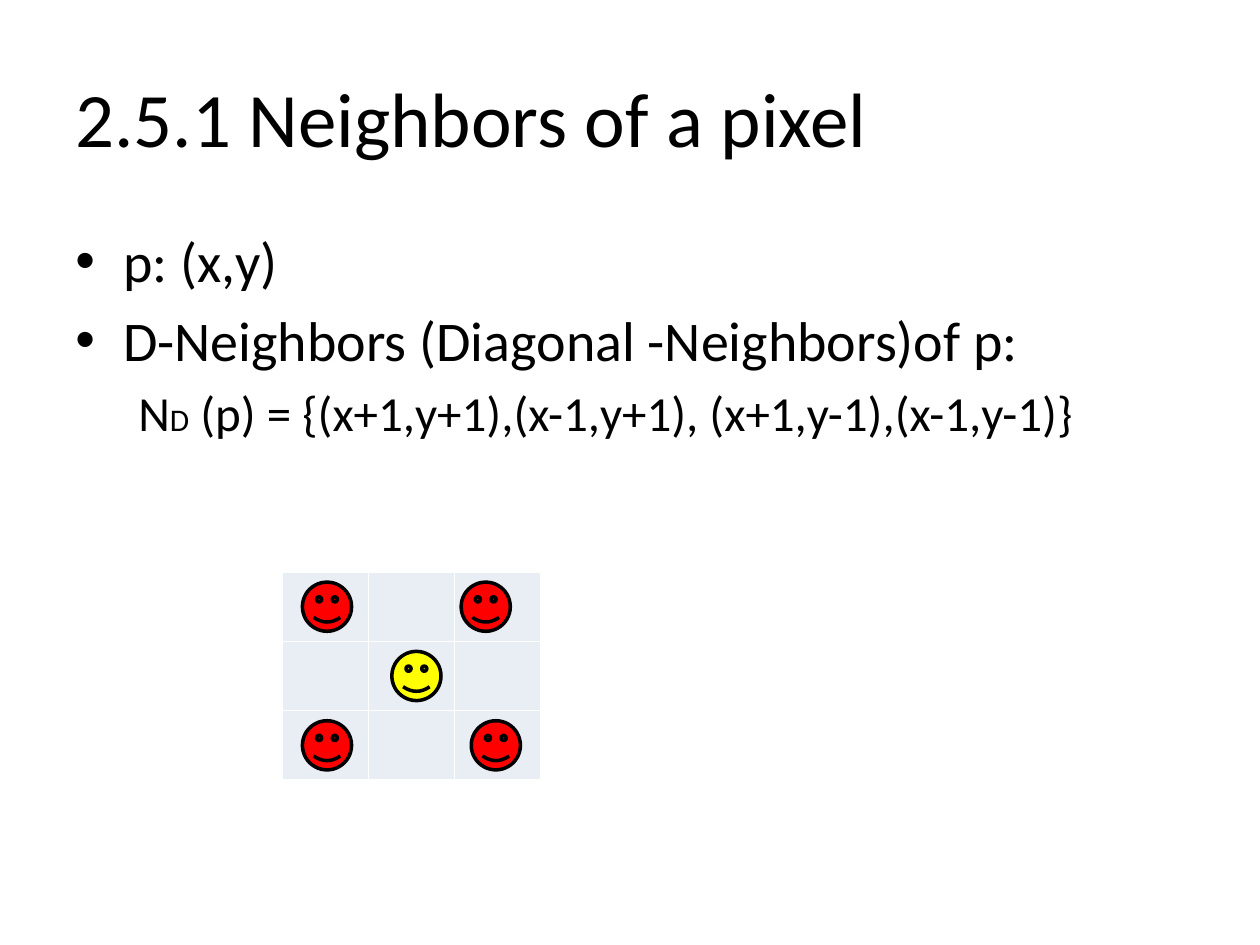
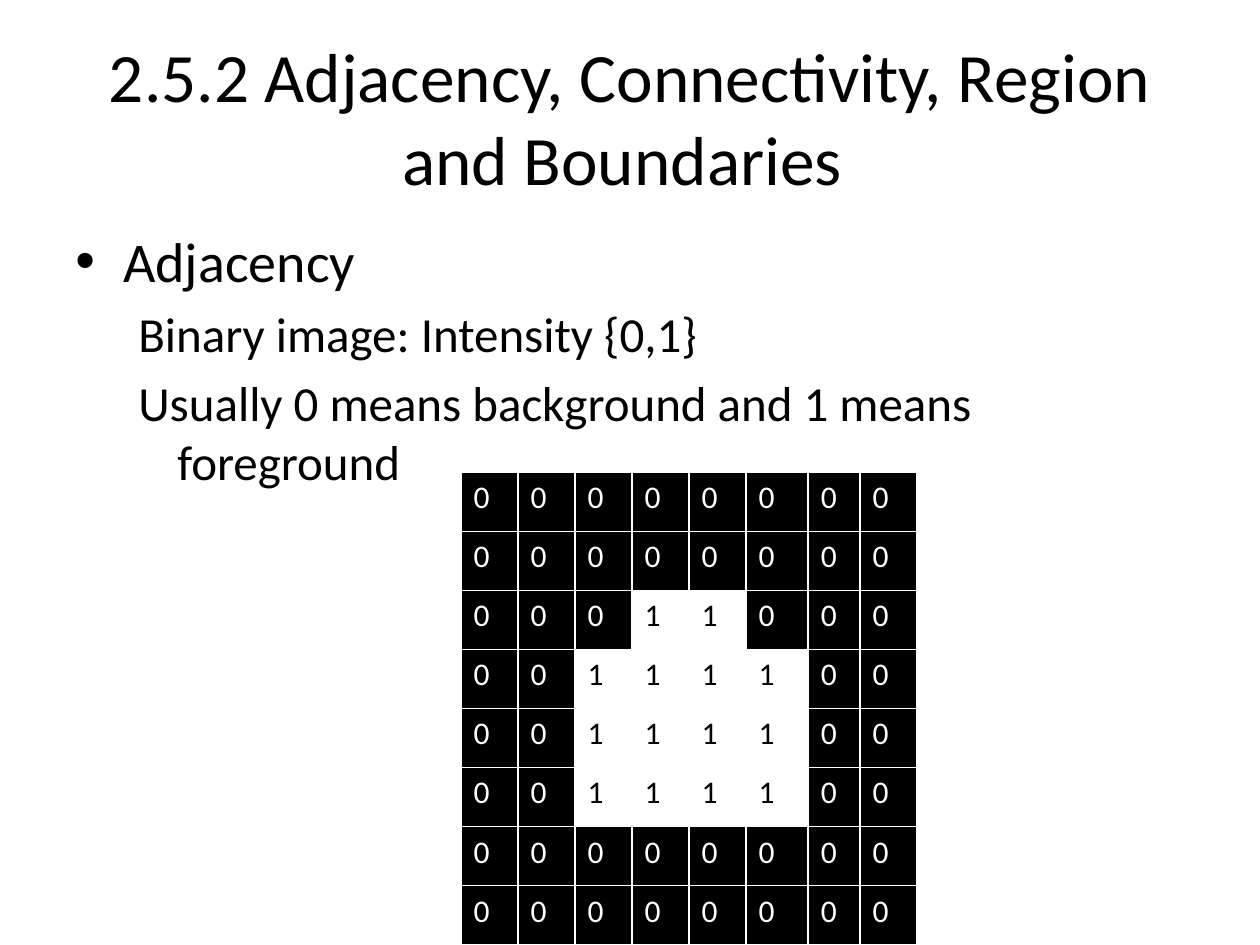
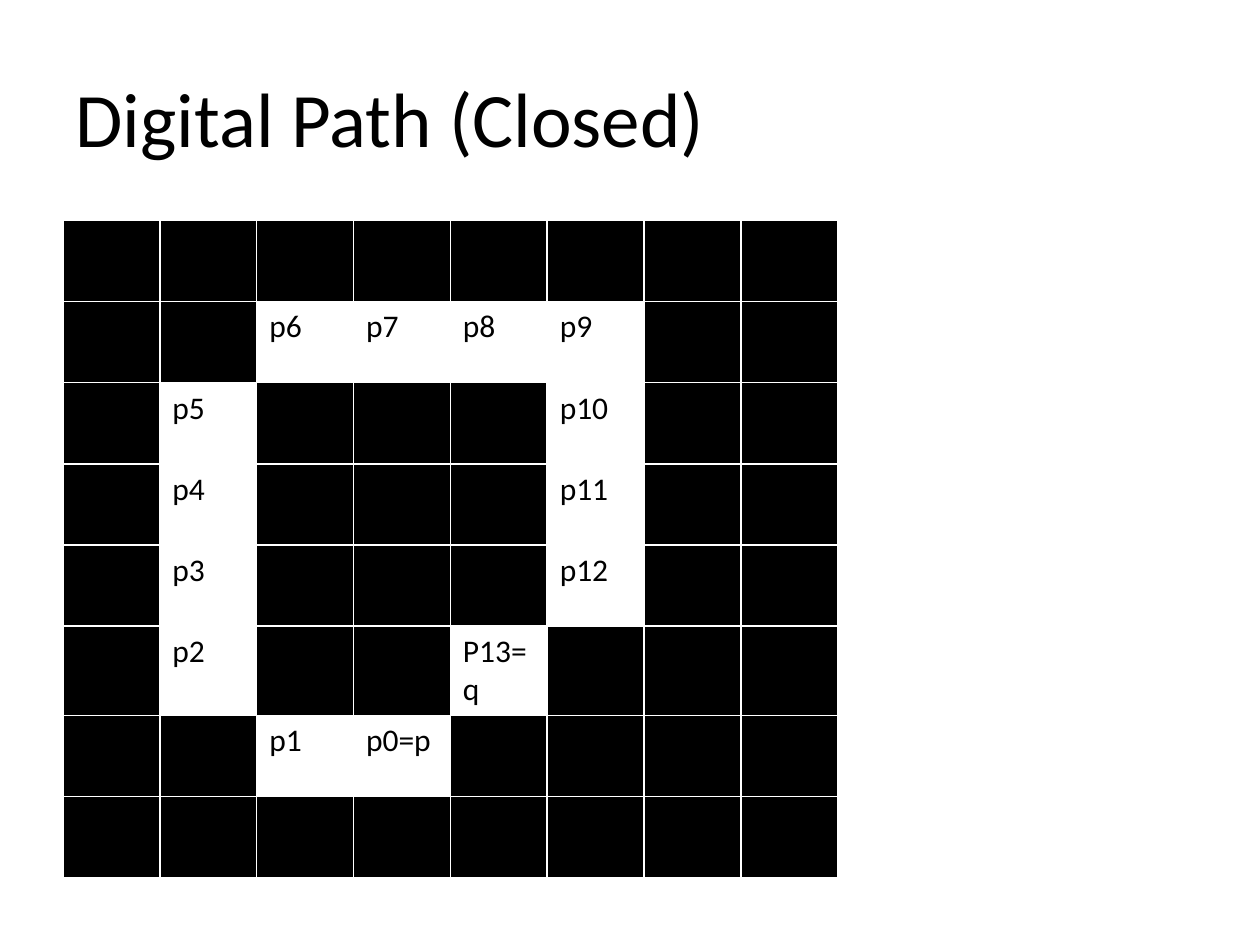
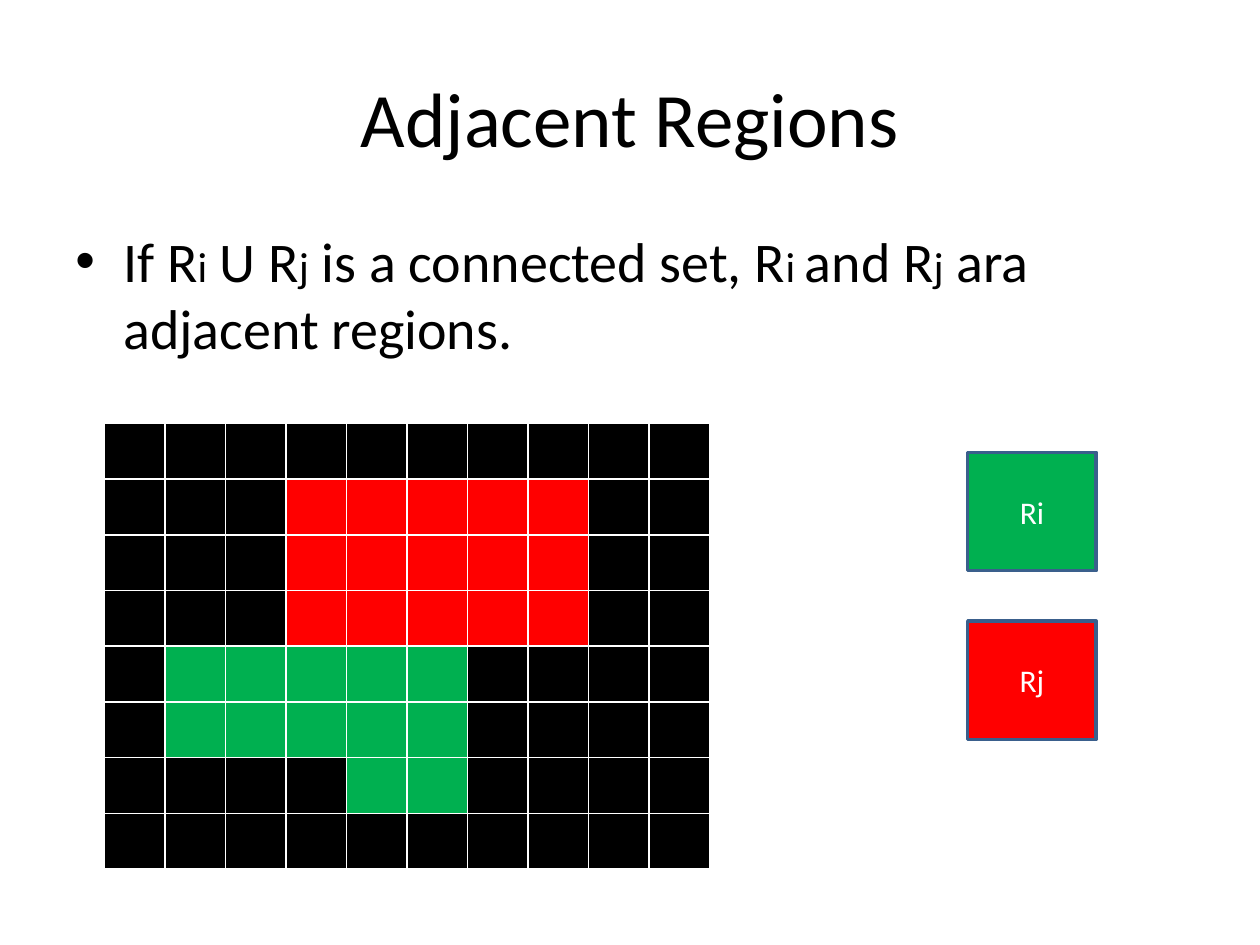
from lxml import etree
from pptx import Presentation
from pptx.dml.color import RGBColor
from pptx.enum.shapes import MSO_SHAPE
from pptx.enum.text import MSO_ANCHOR, MSO_AUTO_SIZE, PP_ALIGN
from pptx.oxml.ns import qn
from pptx.util import Inches, Pt

LEFT, CENTER = PP_ALIGN.LEFT, PP_ALIGN.CENTER
MIDDLE = MSO_ANCHOR.MIDDLE
FIXED = MSO_AUTO_SIZE.NONE
RECT, SMILEY = MSO_SHAPE.RECTANGLE, MSO_SHAPE.SMILEY_FACE

BLACK = RGBColor(0x00, 0x00, 0x00)
WHITE = RGBColor(0xFF, 0xFF, 0xFF)
RED = RGBColor(0xFF, 0x00, 0x00)
GREEN = RGBColor(0x00, 0xB0, 0x50)
YELLOW = RGBColor(0xFF, 0xFF, 0x00)
PALE = RGBColor(0xE9, 0xED, 0xF4)
STEEL = RGBColor(0x3A, 0x5F, 0x8C)

# Marks for table cells that hold a colour and no text
TONES = {".": BLACK, "r": RED, "g": GREEN, "-": PALE}

# The slide is a grid of 100 columns by 75 rows
COLS, ROWS = 100, 75
WIDTH, HEIGHT = Inches(10), Inches(7.5)


def write(par, text, size=18, color=BLACK, align=LEFT, small=None):
    """Fill a paragraph; every second part between bars takes the small size."""
    par.alignment = align
    for i, part in enumerate(text.split("|")):
        run = par.add_run()
        run.text = part
        run.font.name = "Calibri"
        run.font.size = Pt(small if i % 2 else size)
        run.font.color.rgb = color


class Deck:
    def __init__(self):
        self.show = Presentation()
        self.show.slide_width, self.show.slide_height = WIDTH, HEIGHT
        self.slide = None

    def place(self, col, row, wide, high):
        """Turn grid units into lengths."""
        return (int(WIDTH * col / COLS), int(HEIGHT * row / ROWS),
                int(WIDTH * wide / COLS), int(HEIGHT * high / ROWS))

    def page(self, text, size=44, align=LEFT):
        """Start a slide with its title."""
        self.slide = self.show.slides.add_slide(self.show.slide_layouts[5])
        head = self.slide.shapes.title
        head.left, head.top, head.width, head.height = self.place(5, 3, 90, 12.5)
        frame = head.text_frame
        frame.auto_size, frame.vertical_anchor = FIXED, MIDDLE
        write(frame.paragraphs[0], text, size=size, align=align)

    def body(self, lines, small=None):
        """Add (level, text) lines; only level 0 has a bullet."""
        box = self.slide.shapes.add_textbox(*self.place(5, 17.5, 90, 49.5))
        frame = box.text_frame
        frame.word_wrap, frame.auto_size = True, FIXED
        for i, (level, text) in enumerate(lines):
            par = frame.add_paragraph() if i else frame.paragraphs[0]
            size = 28 if level else 32
            par.level = level
            par.space_before = Pt(size * 0.2)
            props = par._p.get_or_add_pPr()
            margin, hang = (0.81, 0.31) if level else (0.38, 0.38)
            props.set("marL", str(Inches(margin)))
            props.set("indent", str(-Inches(hang)))
            if level:
                etree.SubElement(props, qn("a:buNone"))
            else:
                etree.SubElement(props, qn("a:buFont"), typeface="Arial")
                etree.SubElement(props, qn("a:buChar"), char="•")
            write(par, text, size=size, small=small)

    def shape(self, kind, at, fill, line, text=None):
        item = self.slide.shapes.add_shape(kind, *self.place(*at))
        item.shadow.inherit = False
        item.fill.solid()
        item.fill.fore_color.rgb = fill
        item.line.color.rgb = line
        item.line.width = Pt(2)
        if text:
            item.text_frame.vertical_anchor = MIDDLE
            write(item.text_frame.paragraphs[0], text, color=WHITE, align=CENTER)

    def table(self, rows, at, wides=None):
        """Add a table of marks and words, with white borders."""
        count = len(rows[0])
        left, top, wide, high = self.place(*at)
        grid = self.slide.shapes.add_table(len(rows), count, left, top, wide, high).table
        grid.first_row = grid.horz_banding = False
        wides = wides or [1] * count
        for col, part in zip(grid.columns, wides):
            col.width = int(wide * part / sum(wides))
        for r, row in enumerate(rows):
            for c, mark in enumerate(row):
                self.cell(grid.cell(r, c), mark)

    def cell(self, cell, mark):
        props = cell._tc.get_or_add_tcPr()
        for side in "LRTB":
            edge = etree.SubElement(props, qn(f"a:ln{side}"), w=str(Pt(1)))
            paint = etree.SubElement(edge, qn("a:solidFill"))
            etree.SubElement(paint, qn("a:srgbClr"), val=str(WHITE))
        dark = mark == "0"
        cell.fill.solid()
        cell.fill.fore_color.rgb = TONES.get(mark, BLACK if dark else WHITE)
        if mark not in TONES:
            write(cell.text_frame.paragraphs[0], mark, color=WHITE if dark else BLACK)


def pixel(deck):
    deck.page("2.5.1 Neighbors of a pixel")
    deck.body([
        (0, "p: (x,y)"),
        (0, "D-Neighbors (Diagonal -Neighbors)of p:"),
        (1, "N|D| (p) = {(x+1,y+1),(x-1,y+1), (x+1,y-1),(x-1,y-1)}"),
    ], small=18)
    deck.table(["---"] * 3, (22.4, 45.4, 20.5, 16.5))
    # Centre pixel and its diagonal neighbors
    faces = [(31.1, 1, YELLOW), (36.6, 0, RED), (24, 2, RED),
             (37.4, 2, RED), (24, 0, RED)]
    for col, row, fill in faces:
        deck.shape(SMILEY, (col, 46.2 + 5.5 * row, 3.9, 3.9), fill, BLACK)


def adjacency(deck):
    deck.page("2.5.2 Adjacency, Connectivity, Region and Boundaries ",
              size=39.6, align=CENTER)
    deck.body([
        (0, "Adjacency"),
        (1, "Binary image: Intensity {0,1}"),
        (1, "Usually 0 means background and 1 means foreground"),
    ])
    blank = ["0" * 8] * 2
    deck.table(blank + ["00011000"] + ["00111100"] * 3 + blank,
               (36.6, 37.5, 36.2, 37.5), wides=[45] * 5 + [49, 41, 45])


def route(deck):
    deck.page("Digital Path (Closed)")
    rows = [
        ". . . . . . . .",
        ". . p6 p7 p8 p9 . .",
        ". p5 . . . p10 . .",
        ". p4 . . . p11 . .",
        ". p3 . . . p12 . .",
        ". p2 . . P13=q . . .",
        ". . p1 p0=p . . . .",
        ". . . . . . . .",
    ]
    deck.table([row.split() for row in rows], (5, 17.5, 61.5, 51.5))


def regions(deck):
    deck.page("Adjacent Regions", align=CENTER)
    deck.body([(0, "If R|i| U R|j| is a connected set, R|i |and R|j| ara "
                   "adjacent regions.")], small=24)
    blank = ["." * 10]
    deck.table(blank + ["...rrrrr.."] * 3 + [".ggggg...."] * 2
               + ["....gg...."] + blank, (8.3, 33.6, 48, 35.4))
    # Legend
    for row, fill, text in [(49.3, RED, "Rj"), (35.9, GREEN, "Ri")]:
        deck.shape(RECT, (76.8, row, 10.2, 9.4), fill, STEEL, text)


def main():
    deck = Deck()
    for build in (pixel, adjacency, route, regions):
        build(deck)
    deck.show.save("out.pptx")


if __name__ == "__main__":
    main()
